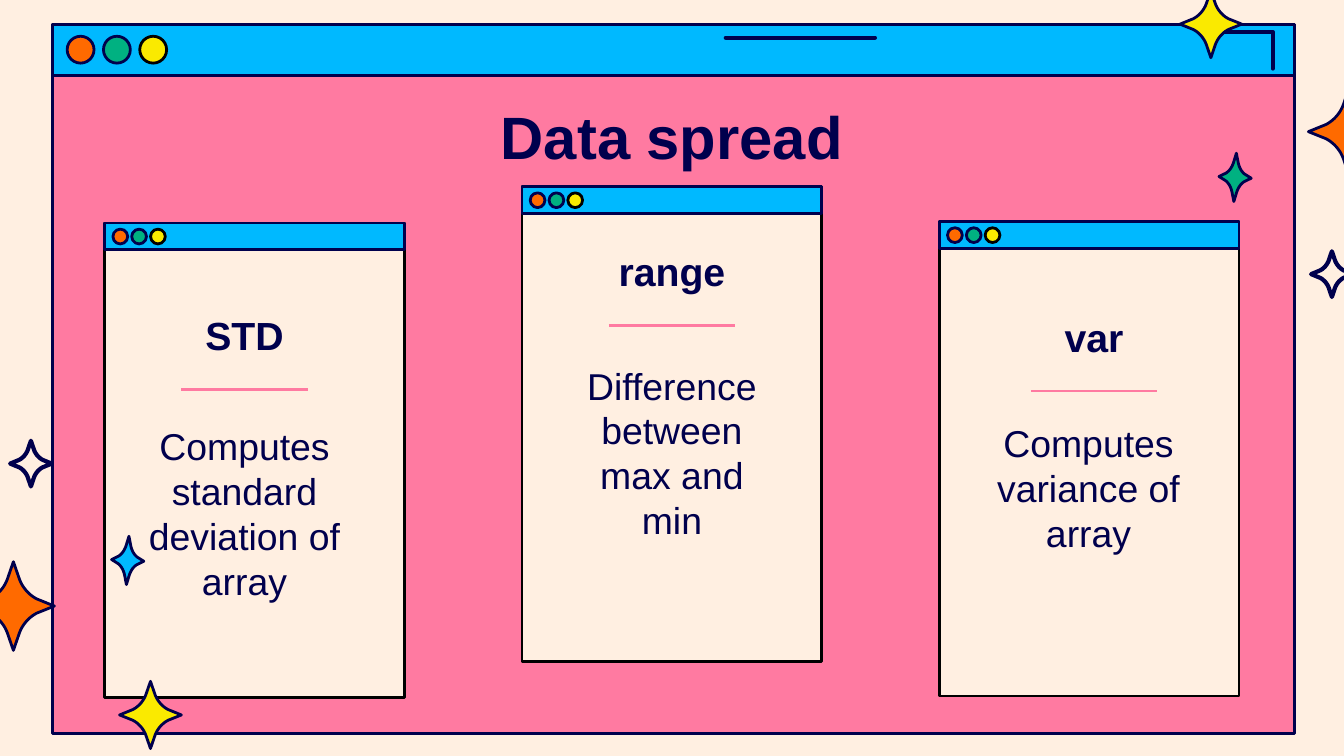
import math

import pptx
from lxml import etree
from pptx.dml.color import RGBColor
from pptx.enum.shapes import MSO_CONNECTOR, MSO_SHAPE
from pptx.enum.text import MSO_ANCHOR, MSO_AUTO_SIZE, PP_ALIGN
from pptx.oxml.ns import qn
from pptx.util import Inches, Pt

CREAM, PINK, BLUE, NAVY = "FFEFE1", "FF7AA1", "00B9FF", "00004D"
ORANGE, GREEN, YELLOW, BLACK = "FF6A00", "00B181", "FAEA00", "000000"

TITLE = "Data spread"
# heading, description, card top, text centre, heading top, description box (centre, top, width)
CARDS = [
    ("STD", "Computes standard deviation of array", 1.66, 1.82, 2.22, (1.82, 3.05, 1.65)),
    ("range", "Difference between max and min", 1.39, 5.0, 1.74, (5.0, 2.6, 1.66)),
    ("var", "Computes variance of array", 1.65, 8.14, 2.23, (8.1, 3.03, 1.77)),
]
FIRST_CARD, LAST_CARD, CARD_WIDTH, CARD_HEIGHT = 0.78, 6.99, 2.23, 3.53
RULE_WIDTH, RULE_DROP = 0.94, 0.68

# centre x, centre y, width, height, fill, line width, tilt in degrees
STARS = [
    (0.95, 4.17, 0.24, 0.36, BLUE, 1.5, 3),
    (0.23, 3.45, 0.31, 0.34, None, 2.25, 0),
    (1.12, 5.32, 0.46, 0.5, YELLOW, 1.5, 0),
    (0.1, 4.51, 0.61, 0.66, ORANGE, 1.5, 0),
    (9.19, 1.32, 0.24, 0.36, GREEN, 1.5, 3),
    (9.91, 2.04, 0.31, 0.34, None, 2.25, 0),
    (9.01, 0.18, 0.46, 0.5, YELLOW, 1.5, 0),
    (10.04, 0.98, 0.61, 0.66, ORANGE, 1.5, 0),
]
# Bezier control points of the curve between two star tips, in half-sizes
STAR_CURVE = [(0.15, 0.6), (0.23, 0.4), (0.4, 0.24), (0.57, 0.16)]
CURVE_STEPS = 10


def color(value):
    return RGBColor.from_string(value)


def style(shape, fill, line, width=1.5):
    shape.shadow.inherit = False
    if fill:
        shape.fill.solid()
        shape.fill.fore_color.rgb = color(fill)
    else:
        shape.fill.background()
    style_line(shape, line, width)


def style_line(shape, line, width):
    shape.line.color.rgb = color(line)
    shape.line.width = Pt(width)
    etree.SubElement(shape.line._get_or_add_ln(), qn("a:round"))


def add_preset(kind, left, top, width, height, fill, line):
    shape = slide.shapes.add_shape(
        kind, Inches(left), Inches(top), Inches(width), Inches(height))
    style(shape, fill, line)


def add_line(left, right, y, line, width):
    connector = slide.shapes.add_connector(
        MSO_CONNECTOR.STRAIGHT, Inches(left), Inches(y), Inches(right), Inches(y))
    style_line(connector, line, width)
    etree.SubElement(connector._element.spPr, qn("a:effectLst"))
    return connector


def add_outline(points, closed, fill, line, width):
    start, *rest = [(Inches(x), Inches(y)) for x, y in points]
    builder = slide.shapes.build_freeform(*start)
    builder.add_line_segments(rest, close=closed)
    shape = builder.convert_to_shape()
    style(shape, fill, line, width)
    return shape


def add_window(left, top, width, height, fill, line, bar, dot, inset, pitch):
    """Draw a browser-like window with a title bar and three round buttons."""
    add_preset(MSO_SHAPE.RECTANGLE, left, top, width, height, fill, line)
    add_preset(MSO_SHAPE.RECTANGLE, left, top, width, bar, BLUE, NAVY)
    buttons = [(ORANGE, NAVY), (GREEN, NAVY), (YELLOW, BLACK)]
    for index, (button_fill, button_line) in enumerate(buttons):
        add_preset(MSO_SHAPE.OVAL, left + inset + index * pitch,
                   top + (bar - dot) / 2, dot, dot, button_fill, button_line)


def add_star(x, y, width, height, fill, line_width, tilt):
    quarter = [(0, 1)]
    for step in range(CURVE_STEPS + 1):
        t = step / CURVE_STEPS
        weights = ((1 - t) ** 3, 3 * t * (1 - t) ** 2, 3 * t ** 2 * (1 - t), t ** 3)
        quarter.append(tuple(
            sum(weight * point[axis] for weight, point in zip(weights, STAR_CURVE))
            for axis in (0, 1)))
    back = quarter[:0:-1]
    unit = [(a, -b) for a, b in quarter] + [(1, 0)] + back
    unit += [(-a, b) for a, b in quarter] + [(-1, 0)] + [(-a, -b) for a, b in back]
    cos, sin = math.cos(math.radians(tilt)), math.sin(math.radians(tilt))
    points = []
    for a, b in unit:
        dx, dy = a * width / 2, b * height / 2
        points.append((x + dx * cos - dy * sin, y + dx * sin + dy * cos))
    add_outline(points, True, fill, NAVY, line_width)


def write(box, text, size, bold):
    frame = box.text_frame
    frame.text = text
    frame.word_wrap = True
    frame.auto_size = MSO_AUTO_SIZE.NONE
    frame.vertical_anchor = MSO_ANCHOR.TOP
    frame.margin_left = frame.margin_right = Inches(0.1)
    frame.margin_top = frame.margin_bottom = Inches(0.1)
    para = frame.paragraphs[0]
    para.alignment = PP_ALIGN.CENTER
    font = para.runs[0].font
    font.name, font.size, font.bold = "Arial", Pt(size), bold
    font.color.rgb = color(NAVY)
    return para


def add_text(centre, top, width, height, text, size, bold):
    box = slide.shapes.add_textbox(
        Inches(centre - width / 2), Inches(top), Inches(width), Inches(height))
    return write(box, text, size, bold)


deck = pptx.Presentation()
deck.slide_width = Inches(10)
deck.slide_height = deck.slide_width * 9 // 16
slide = deck.slides.add_slide(deck.slide_layouts[5])
slide.background.fill.solid()
slide.background.fill.fore_color.rgb = color(CREAM)

add_window(0.39, 0.18, 9.24, 5.28, PINK, NAVY, bar=0.38, dot=0.2, inset=0.11, pitch=0.27)
bracket = add_outline([(9.09, 0.24), (9.47, 0.24), (9.47, 0.51)], False, None, NAVY, 2.25)
bar_mark = add_line(5.4, 6.51, 0.28, NAVY, 2.25)
for mark in (bracket, bar_mark):
    mark.line._get_or_add_ln().set("cap", "rnd")

card_step = (LAST_CARD - FIRST_CARD) / (len(CARDS) - 1)
for index, (_, _, top, *_) in enumerate(CARDS):
    add_window(FIRST_CARD + index * card_step, top, CARD_WIDTH, CARD_HEIGHT, CREAM, BLACK,
               bar=0.2, dot=0.11, inset=0.06, pitch=0.14)

# The title placeholder is moved in front of the windows.
title = slide.shapes.title
title.left, title.top, title.width, title.height = map(Inches, (0.78, 0.64, 8.44, 0.63))
write(title, TITLE, 32, True)
title.element.getparent().append(title.element)

for heading, description, _, centre, top, (body_centre, body_top, body_width) in CARDS:
    add_text(centre, top, 1.47, 0.47, heading, 21, True)
    add_line(centre - RULE_WIDTH / 2, centre + RULE_WIDTH / 2, top + RULE_DROP, PINK, 1.5)
    para = add_text(body_centre, body_top, body_width, 0.67, description, 20, False)
    para.space_after = Pt(16)

for star in STARS:
    add_star(*star)

deck.save("out.pptx")
